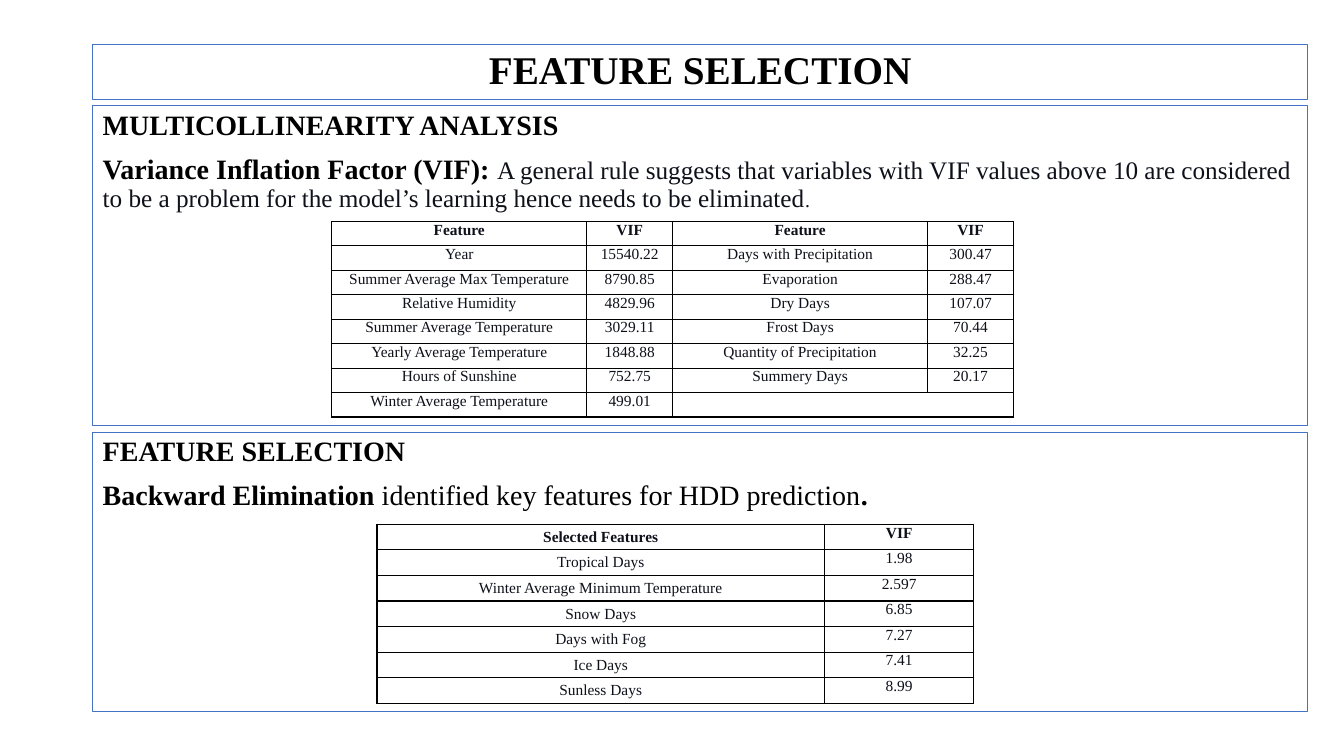
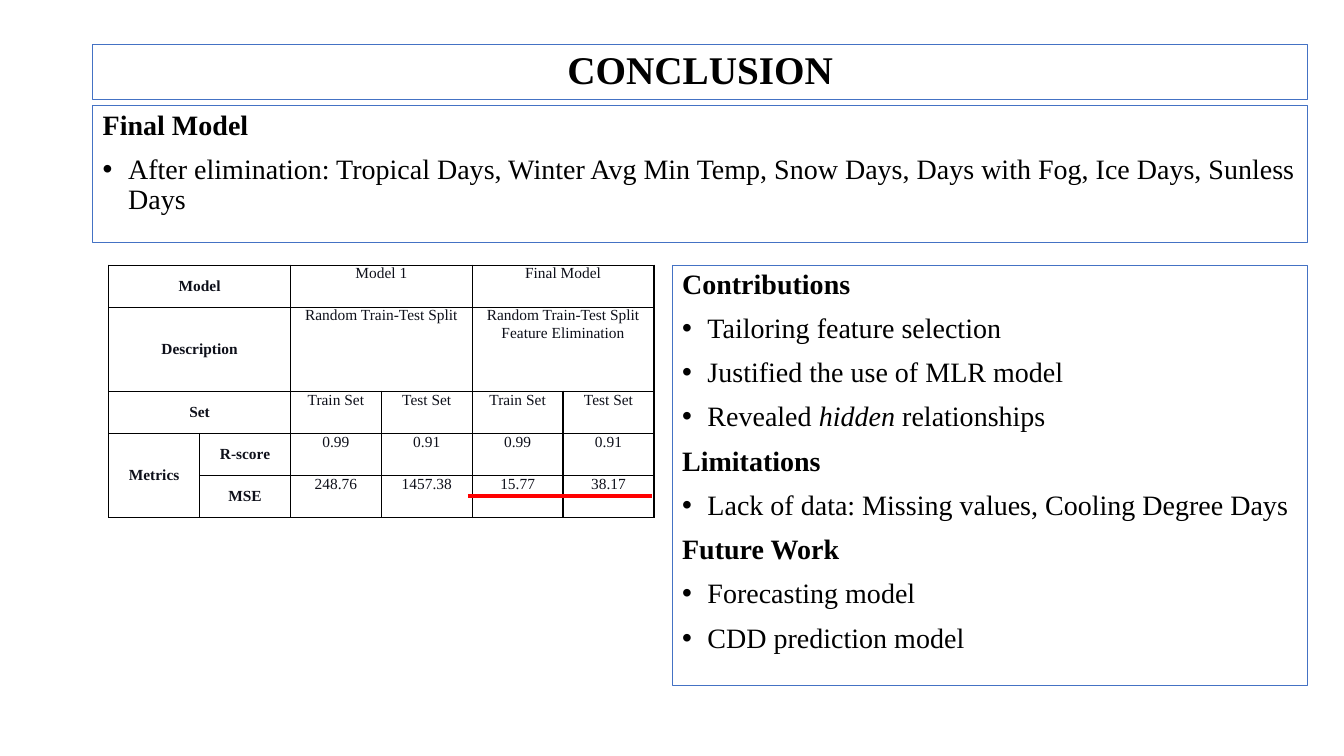
from dataclasses import dataclass, field
from typing import Any, NamedTuple

from lxml import etree
from pptx import Presentation
from pptx.dml import color as dml
from pptx.enum import shapes, text
from pptx.oxml import ns
from pptx.util import Cm, Pt


@dataclass(frozen=True)
class Theme:
    font: str = "Times New Roman"
    black: str = "000000"
    ink: str = "0E101A"
    frame: str = "4472C4"
    accent: str = "FF0000"
    title_size: float = 28
    body_size: float = 20
    note_size: float = 18
    stop_size: float = 14
    cell_size: float = 11
    frame_width: float = 0.75
    grid_width: float = 1
    accent_width: float = 3.25
    line_spacing: float = 0.9
    space_before: float = 10
    indent: float = 0.64
    cell_inset: float = 0.17


THEME = Theme()
LEFT, WIDTH = 2.34, 30.61
TITLE_TOP, TITLE_HEIGHT = 1.12, 1.4
BODY_TOP = 2.67


class Box(NamedTuple):
    left: float
    top: float
    width: float
    height: float


class Words(NamedTuple):
    content: str
    bold: bool = False
    italic: bool = False
    size: float = THEME.body_size
    color: str = THEME.black


@dataclass(frozen=True)
class Line:
    words: list[Words]
    bullet: bool = False


class Span(NamedTuple):
    row: int
    column: int
    last_row: int
    last_column: int


@dataclass(frozen=True)
class Grid:
    left: float
    top: float
    columns: list[float]
    rows: list[float]
    values: list[list[str]]
    header_rows: int = 0
    header_columns: int = 0
    middle_columns: int = 0
    spans: list[Span] = field(default_factory=list)


def heading(content: str) -> Line:
    return Line([Words(content, bold=True)])


def bullet(content: str) -> Line:
    return Line([Words(content)], bullet=True)


def apply(target: Any, values: dict[str, Any]) -> None:
    for name, value in values.items():
        setattr(target, name, value)


def rgb(value: str) -> dml.RGBColor:
    return dml.RGBColor.from_string(value)


def add_words(paragraph: Any, words: Words) -> None:
    run = paragraph.add_run()
    run.text = words.content
    apply(run.font, {"name": THEME.font, "size": Pt(words.size),
                     "bold": words.bold, "italic": words.italic})
    run.font.color.rgb = rgb(words.color)


def add_bullet(paragraph: Any) -> None:
    properties = paragraph._p.get_or_add_pPr()
    properties.set("marL", str(Cm(THEME.indent)))
    properties.set("indent", str(-Cm(THEME.indent)))
    etree.SubElement(properties, ns.qn("a:buFont")).set("typeface", "Arial")
    etree.SubElement(properties, ns.qn("a:buChar")).set("char", "•")


def add_frame(slide: Any, box: Box) -> Any:
    frame = slide.shapes.add_shape(shapes.MSO_SHAPE.RECTANGLE, *map(Cm, box))
    frame.shadow.inherit = False
    frame.fill.background()
    frame.line.color.rgb = rgb(THEME.frame)
    frame.line.width = Pt(THEME.frame_width)
    frame.text_frame.word_wrap = True
    return frame.text_frame


def add_title(slide: Any, title: str) -> None:
    frame = add_frame(slide, Box(LEFT, TITLE_TOP, WIDTH, TITLE_HEIGHT))
    frame.vertical_anchor = text.MSO_ANCHOR.MIDDLE
    paragraph = frame.paragraphs[0]
    apply(paragraph, {"alignment": text.PP_ALIGN.CENTER,
                      "line_spacing": THEME.line_spacing})
    add_words(paragraph, Words(title, bold=True, size=THEME.title_size))


def add_panel(slide: Any, box: Box, lines: list[Line]) -> None:
    frame = add_frame(slide, box)
    frame.vertical_anchor = text.MSO_ANCHOR.TOP
    for index, line in enumerate(lines):
        paragraph = frame.add_paragraph() if index else frame.paragraphs[0]
        apply(paragraph, {"alignment": text.PP_ALIGN.LEFT,
                          "line_spacing": THEME.line_spacing,
                          "space_before": Pt(THEME.space_before)})
        if line.bullet:
            add_bullet(paragraph)
        for words in line.words:
            add_words(paragraph, words)


def add_borders(cell: Any) -> None:
    properties = cell._tc.get_or_add_tcPr()
    for index, side in enumerate(("lnL", "lnR", "lnT", "lnB")):
        border = etree.Element(ns.qn(f"a:{side}"), w=str(Pt(THEME.grid_width)))
        fill = etree.SubElement(border, ns.qn("a:solidFill"))
        etree.SubElement(fill, ns.qn("a:srgbClr")).set("val", THEME.black)
        properties.insert(index, border)


def fill_cell(cell: Any, content: str, bold: bool, middle: bool) -> None:
    anchors = text.MSO_ANCHOR
    inset = Cm(THEME.cell_inset)
    apply(cell, {"margin_left": inset, "margin_right": inset,
                 "margin_top": 0, "margin_bottom": 0,
                 "vertical_anchor": anchors.MIDDLE if middle else anchors.TOP})
    cell.fill.background()
    add_borders(cell)
    for index, part in enumerate(content.split("\n")):
        frame = cell.text_frame
        paragraph = frame.add_paragraph() if index else frame.paragraphs[0]
        paragraph.alignment = text.PP_ALIGN.CENTER
        if part:
            add_words(paragraph, Words(part, bold, size=THEME.cell_size, color=THEME.ink))
        else:
            end = etree.SubElement(paragraph._p, ns.qn("a:endParaRPr"))
            end.set("sz", str(THEME.cell_size * 100))


def add_grid(slide: Any, grid: Grid) -> None:
    box = Box(grid.left, grid.top, sum(grid.columns), sum(grid.rows))
    table = slide.shapes.add_table(len(grid.rows), len(grid.columns), *map(Cm, box)).table
    apply(table, {"first_row": False, "horz_banding": False})
    for column, width in zip(table.columns, grid.columns):
        column.width = Cm(width)
    for row, height in zip(table.rows, grid.rows):
        row.height = Cm(height)
    for r, values in enumerate(grid.values):
        for c, content in enumerate(values):
            bold = r < grid.header_rows or c < grid.header_columns
            fill_cell(table.cell(r, c), content, bold, c < grid.middle_columns)
    for span in grid.spans:
        table.cell(span.row, span.column).merge(table.cell(span.last_row, span.last_column))


def add_underline(slide: Any, start: float, end: float, top: float) -> None:
    underline = slide.shapes.add_connector(
        shapes.MSO_CONNECTOR.STRAIGHT, Cm(start), Cm(top), Cm(end), Cm(top))
    underline.line.color.rgb = rgb(THEME.accent)
    underline.line.width = Pt(THEME.accent_width)
    etree.SubElement(underline._element.spPr, ns.qn("a:effectLst"))


VIF_GRID = Grid(8.36, 5.58, [6.43, 2.16] * 2, [4.93 / 8] * 8, [
    ["Feature", "VIF", "Feature", "VIF"],
    ["Year", "15540.22", "Days with Precipitation", "300.47"],
    ["Summer Average Max Temperature", "8790.85", "Evaporation", "288.47"],
    ["Relative Humidity", "4829.96", "Dry Days", "107.07"],
    ["Summer Average Temperature", "3029.11", "Frost Days", "70.44"],
    ["Yearly Average Temperature", "1848.88", "Quantity of Precipitation", "32.25"],
    ["Hours of Sunshine", "752.75", "Summery Days", "20.17"],
    ["Winter Average Temperature", "499.01", "", ""],
], header_rows=1, spans=[Span(7, 2, 7, 3)])

SELECTED_GRID = Grid(9.5, 13.21, [11.28, 3.76], [4.52 / 7] * 7, [
    ["Selected Features", "VIF"],
    ["Tropical Days", "1.98"],
    ["Winter Average Minimum Temperature", "2.597"],
    ["Snow Days", "6.85"],
    ["Days with Fog", "7.27"],
    ["Ice Days", "7.41"],
    ["Sunless Days", "8.99"],
], header_rows=1, middle_columns=1)

MODEL_GRID = Grid(2.74, 6.68, [2.29] * 6, [1.06, 2.12, 1.06, 1.06, 1.06], [
    ["Model", "", "Model 1", "", "Final Model", ""],
    ["Description", "", "Random Train-Test Split", "",
     "Random Train-Test Split\nFeature Elimination", ""],
    ["Set", "", "Train Set", "Test Set", "Train Set", "Test Set"],
    ["Metrics", "R-score", "0.99", "0.91", "0.99", "0.91"],
    ["", "MSE", "248.76", "1457.38", "15.77", "38.17"],
], header_columns=2, middle_columns=2, spans=[
    *(Span(row, column, row, column + 1) for row in (0, 1) for column in (0, 2, 4)),
    Span(2, 0, 2, 1), Span(3, 0, 4, 0),
])


def build_selection(slide: Any) -> None:
    add_title(slide, "FEATURE SELECTION")
    add_panel(slide, Box(LEFT, BODY_TOP, WIDTH, 8.05), [
        heading("MULTICOLLINEARITY ANALYSIS"),
        Line([
            Words("Variance Inflation Factor (VIF): ", bold=True),
            Words("A general rule suggests that variables with VIF values above 10 are "
                  "considered to be a problem for the model’s learning hence needs to be "
                  "eliminated", size=THEME.note_size, color=THEME.ink),
            Words(".", size=THEME.stop_size, color=THEME.ink),
        ]),
    ])
    add_grid(slide, VIF_GRID)
    add_panel(slide, Box(LEFT, 10.9, WIDTH, 7.04), [
        heading("FEATURE SELECTION"),
        Line([
            Words("Backward Elimination", bold=True),
            Words(" identified key features for HDD prediction"),
            Words(".", bold=True),
        ]),
    ])
    add_grid(slide, SELECTED_GRID)


def build_conclusion(slide: Any) -> None:
    add_title(slide, "CONCLUSION")
    add_panel(slide, Box(LEFT, BODY_TOP, WIDTH, 3.45), [
        heading("Final Model"),
        bullet("After elimination: Tropical Days, Winter Avg Min Temp, Snow Days, "
               "Days with Fog, Ice Days, Sunless Days"),
    ])
    add_grid(slide, MODEL_GRID)
    add_panel(slide, Box(16.94, MODEL_GRID.top, 16, 10.59), [
        heading("Contributions"),
        bullet("Tailoring feature selection"),
        bullet("Justified the use of MLR model"),
        Line([Words("Revealed"), Words(" hidden ", italic=True), Words("relationships")],
             bullet=True),
        heading("Limitations"),
        bullet("Lack of data: Missing values, Cooling Degree Days"),
        heading("Future Work"),
        bullet("Forecasting model"),
        bullet("CDD prediction model"),
    ])
    add_underline(slide, 11.79, 16.43, 12.5)


def main() -> None:
    deck = Presentation()
    apply(deck, {"slide_width": Cm(33.87), "slide_height": Cm(19.05)})
    for build in (build_selection, build_conclusion):
        build(deck.slides.add_slide(deck.slide_layouts[6]))
    deck.save("out.pptx")


if __name__ == "__main__":
    main()
